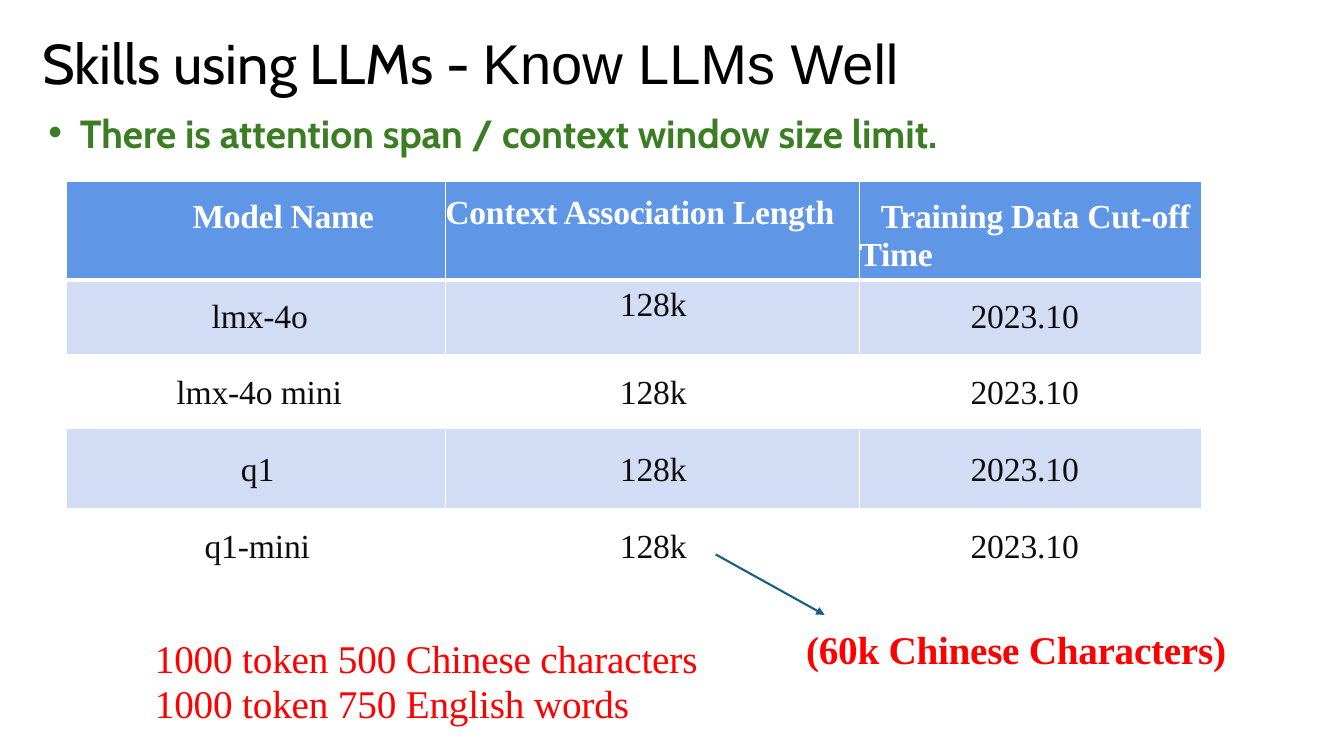
"""Build a slide on the context window limits of language models."""
from typing import NamedTuple, Optional

from lxml.etree import SubElement
from pptx import Presentation
from pptx.dml.color import RGBColor
from pptx.enum.shapes import MSO_CONNECTOR as Connector
from pptx.oxml.ns import qn
from pptx.slide import Slide
from pptx.table import _Cell as Cell
from pptx.text.text import _Paragraph as Paragraph
from pptx.util import Pt

BLACK = RGBColor(0x00, 0x00, 0x00)
INK = RGBColor(0x0D, 0x0D, 0x0D)
WHITE = RGBColor(0xFF, 0xFF, 0xFF)
GREEN = RGBColor(0x3B, 0x7D, 0x23)
RED = RGBColor(0xFF, 0x00, 0x00)
TEAL = RGBColor(0x15, 0x60, 0x82)
HEADER_BLUE = RGBColor(0x60, 0x96, 0xE6)
BAND_BLUE = RGBColor(0xD2, 0xDD, 0xF5)
SERIF = "Times New Roman"


class Style(NamedTuple):
    """Describe the look of a paragraph."""
    size: float
    color: RGBColor
    font: str = SERIF
    bold: bool = False
    tracking: float = 0
    indent: float = 0
    margin: float = 0
    bullet: str = ""
    spacing: Optional[float] = None


class Caption(NamedTuple):
    """Describe a block of text outside the table."""
    left: float
    top: float
    width: float
    height: float
    lines: tuple[tuple[str, ...], ...]
    style: Style


class Entry(NamedTuple):
    """Describe the text of a table cell and its offsets."""
    text: str
    indent: float
    top: float


class Row(NamedTuple):
    """Describe a table row."""
    height: float
    entries: tuple[Entry, ...]
    fill: Optional[RGBColor] = None


CAPTIONS = (
    Caption(23, 16.6, 914, 60, (("Skills using LLMs - ", "Know LLMs Well"),),
            Style(40, BLACK, "Cabin")),
    Caption(27.4, 74.2, 697, 41,
            (("There is attention span / context window size limit.",),),
            Style(28, GREEN, "Cabin", True, indent=-22.5, margin=22.5, bullet="•")),
    Caption(44.6, 452.2, 490, 84,
            (("1000 token 500 Chinese characters",),
             ("1000 token 750 English words",)),
            Style(28, RED, tracking=-0.1, indent=59, spacing=0.95)),
    Caption(568.8, 442.8, 380, 41, (("(60k Chinese Characters)",),),
            Style(28, RED, bold=True, tracking=-0.2)),
)


def model_row(height: float, name: str, indent: float, top: float,
              length_top: float, fill: Optional[RGBColor] = None) -> Row:
    """Return the row of one model."""
    return Row(height, (Entry(name, indent, top), Entry("128k", 124.6, length_top),
                        Entry("2023.10", 79.2, top)), fill)


COLUMN_WIDTHS = (270.7, 295.9, 244.1)
ROWS = (
    Row(68.5, (Entry("Model Name", 90, 12.1),
               Entry("Context Association Length", 0, 9),
               Entry("Training Data Cut-off Time", 15.1, 12.1)), HEADER_BLUE),
    model_row(53.3, "lmx-4o", 103.7, 8.1, 0, BAND_BLUE),
    model_row(52.6, "lmx-4o mini", 78.5, 9.1, 9.1),
    model_row(57.6, "q1", 124.6, 11.5, 11.5, BAND_BLUE),
    model_row(52.6, "q1-mini", 98.6, 9.1, 9.1),
)
HEADER_STYLE = Style(24, WHITE, bold=True, tracking=-0.2, spacing=1.01)
BODY_STYLE = Style(24, INK, tracking=-0.1, spacing=1.19)


def write(paragraph: Paragraph, parts: tuple[str, ...], style: Style) -> None:
    """Fill a paragraph with styled runs."""
    properties = paragraph._p.get_or_add_pPr()
    properties.set("marL", str(Pt(style.margin)))
    properties.set("indent", str(Pt(style.indent)))
    if style.spacing:
        paragraph.line_spacing = style.spacing
    if style.bullet:
        SubElement(properties, qn("a:buFont")).set("typeface", "Arial")
        SubElement(properties, qn("a:buChar")).set("char", style.bullet)
    for part in parts:
        run = paragraph.add_run()
        run.text = part
        run.font.size = Pt(style.size)
        run.font.name = style.font
        run.font.bold = style.bold
        run.font.color.rgb = style.color
        if style.tracking:
            run.font._element.set("spc", str(round(style.tracking * 100)))


def add_caption(slide: Slide, caption: Caption) -> None:
    """Place a block of text on the slide."""
    frame = slide.shapes.add_textbox(
        Pt(caption.left), Pt(caption.top), Pt(caption.width), Pt(caption.height)
    ).text_frame
    frame.word_wrap = True
    for index, parts in enumerate(caption.lines):
        paragraph = frame.add_paragraph() if index else frame.paragraphs[0]
        write(paragraph, parts, caption.style)


def add_borders(cell: Cell, top: float, bottom: float) -> None:
    """Draw white borders around a cell."""
    properties = cell._tc.get_or_add_tcPr()
    widths = {"lnL": 1, "lnR": 1, "lnT": top, "lnB": bottom}
    for position, (side, width) in enumerate(widths.items()):
        border = SubElement(properties, qn(f"a:{side}"), w=str(Pt(width)))
        fill = SubElement(border, qn("a:solidFill"))
        SubElement(fill, qn("a:srgbClr"), val=str(WHITE))
        properties.insert(position, border)


def add_models(slide: Slide) -> None:
    """Place the table of models."""
    models = slide.shapes.add_table(
        len(ROWS), len(COLUMN_WIDTHS), Pt(47.5), Pt(129.6),
        Pt(sum(COLUMN_WIDTHS)), Pt(sum(row.height for row in ROWS))).table
    models.first_row = models.horz_banding = False
    for column, width in zip(models.columns, COLUMN_WIDTHS):
        column.width = Pt(width)
    for r, row in enumerate(ROWS):
        models.rows[r].height = Pt(row.height)
        style = BODY_STYLE if r else HEADER_STYLE
        for c, entry in enumerate(row.entries):
            cell = models.cell(r, c)
            cell.margin_left = cell.margin_right = cell.margin_bottom = 0
            cell.margin_top = Pt(entry.top)
            write(cell.text_frame.paragraphs[0], (entry.text,),
                  style._replace(indent=entry.indent))
            if row.fill:
                cell.fill.solid()
                cell.fill.fore_color.rgb = row.fill
            else:
                cell.fill.background()
            add_borders(cell, 3 if r == 1 else 1, 1 if r else 3)


def add_arrow(slide: Slide) -> None:
    """Point from the last context length to its remark."""
    arrow = slide.shapes.add_connector(
        Connector.STRAIGHT, Pt(511.2), Pt(396), Pt(589), Pt(439.2))
    arrow.line.color.rgb = TEAL
    arrow.line.width = Pt(1.5)
    SubElement(arrow.line._get_or_add_ln(), qn("a:tailEnd"), type="triangle")
    SubElement(arrow._element.spPr, qn("a:effectLst"))


def main() -> None:
    """Build and save the slide."""
    deck = Presentation()
    deck.slide_width, deck.slide_height = Pt(960), Pt(540)
    slide = deck.slides.add_slide(deck.slide_layouts[6])
    for caption in CAPTIONS:
        add_caption(slide, caption)
    title = slide.shapes[0].text_frame.paragraphs[0]
    title.runs[1].font.name = "Arial"
    add_models(slide)
    add_arrow(slide)
    deck.save("out.pptx")


if __name__ == "__main__":
    main()
